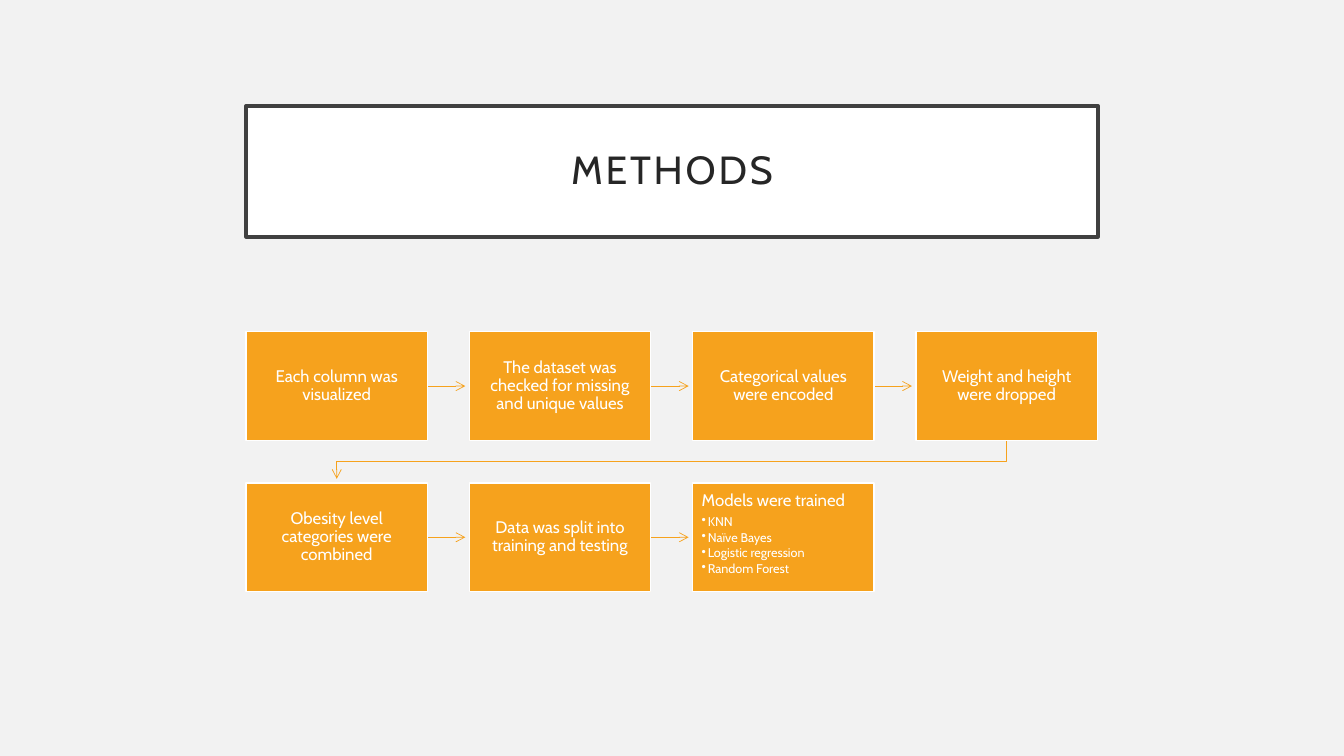
"""Builds the Methods slide: a title box above a seven-step flow."""
from lxml.etree import SubElement
from pptx import Presentation
from pptx.dml.color import RGBColor
from pptx.enum.shapes import MSO_CONNECTOR, MSO_SHAPE
from pptx.enum.text import MSO_ANCHOR, MSO_AUTO_SIZE, PP_ALIGN
from pptx.oxml.ns import qn
from pptx.util import Inches, Pt

PAPER = RGBColor(0xF2, 0xF2, 0xF2)
WHITE = RGBColor(0xFF, 0xFF, 0xFF)
FRAME = RGBColor(0x40, 0x40, 0x40)
INK = RGBColor(0x26, 0x26, 0x26)
ORANGE = RGBColor(0xF6, 0xA2, 0x1D)

LEFT, TOP = 2.44, 3.29
BOX_W, BOX_H = 1.8, 1.08
COL, ROW = 2.215, 1.5
COLS = 4
GAP = 0.04

steps = [
    "Each column was visualized",
    "The dataset was checked for missing and unique values",
    "Categorical values were encoded",
    "Weight and height were dropped",
    "Obesity level categories were combined",
    "Data was split into training and testing",
    "Models were trained",
]
models = ["KNN", "Naïve Bayes", "Logistic regression", "Random Forest"]


def add_text(p, text, size, color, align, after=0):
    p.alignment = align
    p.line_spacing = 0.9
    p.space_before = Pt(0)
    p.space_after = Pt(after)
    r = p.add_run()
    r.text = text
    r.font.size = Pt(size)
    r.font.name = "Cabin"
    r.font.color.rgb = color
    return r


def style_arrow(sp):
    sp.line.color.rgb = ORANGE
    sp.line.width = Pt(0.5)
    SubElement(sp.line._get_or_add_ln(), qn("a:tailEnd"), type="arrow")


prs = Presentation()
prs.slide_width, prs.slide_height = Inches(13.33), Inches(7.5)
s = prs.slides.add_slide(prs.slide_layouts[5])
s.background.fill.solid()
s.background.fill.fore_color.rgb = PAPER

title = s.shapes.title
title.left, title.top = Inches(LEFT), Inches(1.05)
title.width, title.height = Inches(8.45), Inches(1.3)
title.fill.solid()
title.fill.fore_color.rgb = WHITE
title.line.color.rgb = FRAME
title.line.width = Pt(2.5)
tf = title.text_frame
tf.auto_size = MSO_AUTO_SIZE.NONE
tf.vertical_anchor = MSO_ANCHOR.MIDDLE
tf.margin_left = tf.margin_right = tf.margin_top = tf.margin_bottom = Inches(0.2)
r = add_text(tf.paragraphs[0], "METHODS", 28, INK, PP_ALIGN.CENTER)
r.font._element.set("spc", "200")

for i, step in enumerate(steps):
    row, col = divmod(i, COLS)
    x, y = LEFT + col * COL, TOP + row * ROW
    last = i == len(steps) - 1

    if col == COLS - 1:
        start, end = x + BOX_W / 2, LEFT + BOX_W / 2
        bottom, below = y + BOX_H, y + ROW
        turn = (bottom + below) / 2
        fb = s.shapes.build_freeform(Inches(start), Inches(bottom))
        fb.add_line_segments(
            [(Inches(px), Inches(py)) for px, py in
             [(start, turn), (end, turn), (end, below - GAP)]], close=False)
        sp = fb.convert_to_shape()
        sp.shadow.inherit = False
        sp.fill.background()
        style_arrow(sp)
    elif not last:
        mid = Inches(y + BOX_H / 2)
        sp = s.shapes.add_connector(MSO_CONNECTOR.STRAIGHT, Inches(x + BOX_W), mid,
                                    Inches(x + COL - GAP), mid)
        style_arrow(sp)
        SubElement(sp._element.spPr, qn("a:effectLst"))

    sp = s.shapes.add_shape(MSO_SHAPE.RECTANGLE, Inches(x), Inches(y),
                            Inches(BOX_W), Inches(BOX_H))
    sp.shadow.inherit = False
    sp.fill.solid()
    sp.fill.fore_color.rgb = ORANGE
    sp.line.color.rgb = WHITE
    sp.line.width = Pt(1)
    tf = sp.text_frame
    tf.word_wrap = True
    tf.margin_left = tf.margin_right = tf.margin_top = tf.margin_bottom = Inches(0.09)
    tf.vertical_anchor = MSO_ANCHOR.TOP if last else MSO_ANCHOR.MIDDLE
    add_text(tf.paragraphs[0], step, 12, WHITE,
             PP_ALIGN.LEFT if last else PP_ALIGN.CENTER, 4.2)

for model in models:
    p = tf.add_paragraph()
    p.level = 1
    add_text(p, model, 9, WHITE, PP_ALIGN.LEFT, 1.35)
    pPr = p._p.get_or_add_pPr()
    pPr.set("marL", str(Inches(0.06)))
    pPr.set("indent", str(-Inches(0.06)))
    SubElement(pPr, qn("a:buChar"), char="•")

prs.save("out.pptx")
